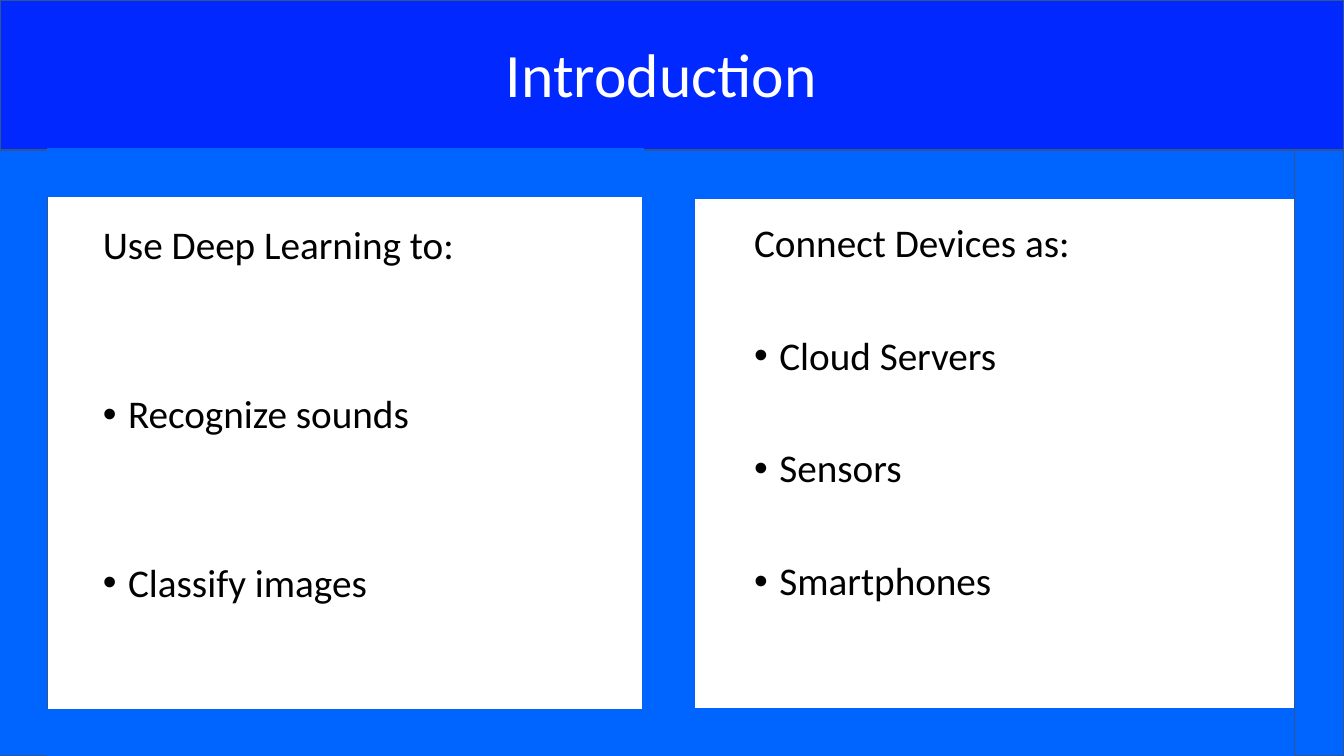
import pptx
import pptx.util
import pptx.dml.color
import pptx.enum.shapes
import pptx.enum.text
import pptx.oxml.ns
from lxml import etree

Inches, Pt = pptx.util.Inches, pptx.util.Pt
RGB = pptx.dml.color.RGBColor.from_string
ALIGN = pptx.enum.text.PP_ALIGN
ANCHOR = pptx.enum.text.MSO_ANCHOR

COLORS = {"frame": "0064FF", "header": "0028FF", "edge": "325491",
          "title": "FFFFFF", "text": "000000"}

TITLE = ("Introduction", (0.81, 0.04, 11.5, 1.45))
# heading, bullets, box, space before each bullet in points
COLUMNS = [
    ("Use Deep Learning to:", ["Recognize sounds", "Classify images"],
     (0.92, 2.19, 5.75, 4.78), 90.4),
    ("Connect Devices as:", ["Cloud Servers", "Sensors", "Smartphones"],
     (7.38, 2.17, 5.24, 4.5), 50.2),
]
# box, fill, line
BACK_BARS = [
    ((6.37, 1.39, 0.52, 6.12), "frame", "frame"),
    ((6.84, 1.5, 6.02, 0.47), "frame", "frame"),
    ((6.87, 7.03, 5.98, 0.47), "frame", "frame"),
    ((0, 0, 13.33, 1.49), "header", "edge"),
]
FRONT_BARS = [
    ((-0.02, 1.49, 0.49, 6.01), "frame", "edge"),
    ((12.84, 1.49, 0.49, 6.01), "frame", "edge"),
    ((0.47, 7.04, 5.91, 0.47), "frame", "frame"),
    ((0.47, 1.48, 5.91, 0.47), "frame", "frame"),
]


def add_bars(s, bars):
    for box, fill, line in bars:
        sp = s.shapes.add_shape(pptx.enum.shapes.MSO_SHAPE.RECTANGLE,
                                *map(Inches, box))
        sp.shadow.inherit = False
        sp.fill.solid()
        sp.fill.fore_color.rgb = RGB(COLORS[fill])
        sp.line.color.rgb = RGB(COLORS[line])
        sp.line.width = Pt(1)


def place(sp, box, anchor):
    """Move a placeholder to its box, in front of the shapes drawn so far."""
    for name, value in zip(("left", "top", "width", "height"), box):
        setattr(sp, name, Inches(value))
    sp.element.getparent().append(sp.element)
    tf = sp.text_frame
    for name, value in {"word_wrap": True, "vertical_anchor": anchor,
                        "auto_size": pptx.enum.text.MSO_AUTO_SIZE.NONE}.items():
        setattr(tf, name, value)
    return tf


def write(p, text, size, color, align, before=0):
    for name, value in {"text": text, "alignment": align, "line_spacing": 0.9,
                        "space_before": Pt(before), "space_after": Pt(0)}.items():
        setattr(p, name, value)
    font = p.runs[0].font
    font.name, font.size, font.color.rgb = "Calibri", Pt(size), RGB(COLORS[color])


def set_bullet(p, char=None):
    pPr = p._p.get_or_add_pPr()
    indent = Inches(0.25) if char else 0
    pPr.set("marL", str(indent))
    pPr.set("indent", str(-indent))
    if char:
        font = etree.SubElement(pPr, pptx.oxml.ns.qn("a:buFont"))
        font.set("typeface", "Arial")
        etree.SubElement(pPr, pptx.oxml.ns.qn("a:buChar")).set("char", char)
    else:
        etree.SubElement(pPr, pptx.oxml.ns.qn("a:buNone"))


def main():
    prs = pptx.Presentation()
    prs.slide_width, prs.slide_height = Inches(13.33), Inches(7.5)
    s = prs.slides.add_slide(prs.slide_layouts.get_by_name("Two Content"))

    add_bars(s, BACK_BARS)
    text, box = TITLE
    tf = place(s.shapes.title, box, ANCHOR.MIDDLE)
    write(tf.paragraphs[0], text, 44, "title", ALIGN.CENTER)

    bodies = [s.placeholders[1], s.placeholders[2]]
    for sp, (heading, bullets, box, gap) in zip(bodies, COLUMNS):
        tf = place(sp, box, ANCHOR.TOP)
        p = tf.paragraphs[0]
        write(p, heading, 28, "text", ALIGN.LEFT)
        set_bullet(p)
        for bullet in bullets:
            p = tf.add_paragraph()
            write(p, bullet, 28, "text", ALIGN.LEFT, gap)
            set_bullet(p, "•")

    add_bars(s, FRONT_BARS)
    prs.save("out.pptx")


if __name__ == "__main__":
    main()
